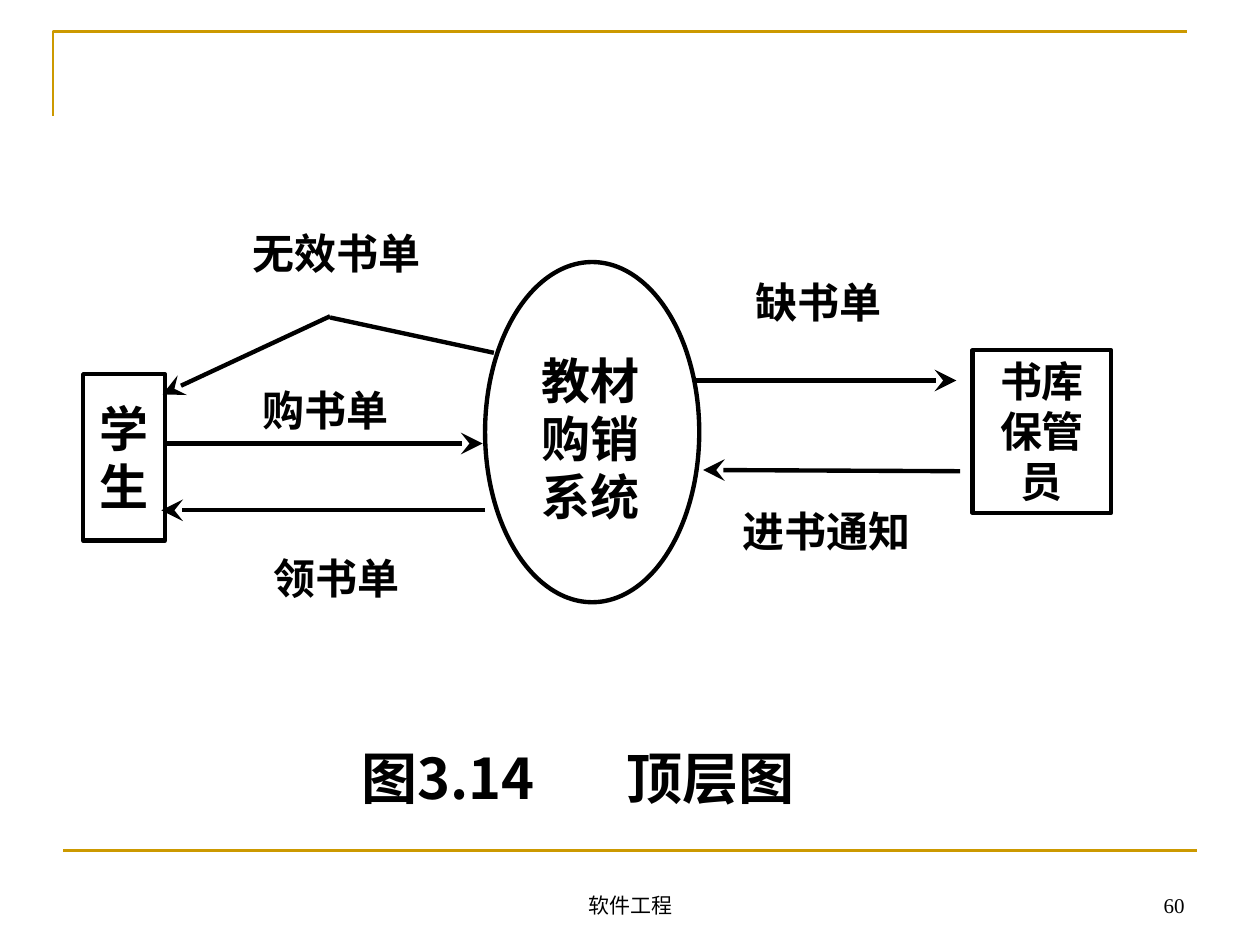
from lxml import etree
from pptx import Presentation
from pptx import util as u
from pptx.dml.color import RGBColor
from pptx.enum import shapes, text
from pptx.oxml.ns import qn

WIDTH, HEIGHT = 10, 7.5
BLACK, WHITE, GOLD = "000000", "FFFFFF", "CC9900"
CJK, LATIN, SERIF = "Noto Sans CJK SC", "Arial", "Times New Roman"
LEFT, CENTER, RIGHT = text.PP_ALIGN.LEFT, text.PP_ALIGN.CENTER, text.PP_ALIGN.RIGHT
TOP, MIDDLE, BOTTOM = text.MSO_ANCHOR.TOP, text.MSO_ANCHOR.MIDDLE, text.MSO_ANCHOR.BOTTOM
LINE_PITCH = 1.19

CORNER = [(0.42, 0.92), (0.42, 0.25), (9.42, 0.25)]
FOOTER_RULE = ((0.5, 6.75), (9.5, 6.75))
SYSTEM = (3.85, 2.08, 1.7, 2.7)
SYSTEM_NAME = ("教材购销系统", (4.21, 2.74, 1.01, 1.49))
KEEPER = ("书库保管员", (7.72, 2.78, 1.1, 1.29))
STUDENT = ("学\n生", (0.66, 2.97, 0.65, 1.32))
BOXED_LABELS = [
    ("购书单", (1.92, 3.06, 1.32, 0.39), MIDDLE, False),
    ("领书单", (1.91, 4.34, 1.53, 0.49), TOP, True),
]
LABELS = [
    ("无效书单", (1.91, 1.76, 1.53, 0.49)),
    ("缺书单", (5.82, 2.15, 1.36, 0.49)),
    ("进书通知", (5.67, 3.97, 1.78, 0.49)),
]
FLOWS = [
    ((1.32, 3.52), (3.83, 3.52), True),
    ((3.85, 4.05), (1.28, 4.05), True),
    ((3.92, 2.8), (2.62, 2.52), False),
    ((2.62, 2.51), (1.29, 3.13), True),
    ((5.5, 3.02), (7.59, 3.02), True),
    ((7.62, 3.74), (5.58, 3.73), True),
]
CAPTION = ("图3.14\t顶层图", (2.49, 5.86, 4.38, 1.15))
CAPTION_INDENT, CAPTION_TAB = 0.38, 2.1
FOOTERS = [
    ("软件工程", (3.42, 6.83, 3.17, 0.5), CENTER),
    ("60", (7.17, 6.83, 2.33, 0.5), RIGHT),
]


def color(value):
    return RGBColor.from_string(value)


def inches(values):
    return [u.Inches(value) for value in values]


def write(shape, words, size, font=CJK, align=CENTER, anchor=TOP, bold=True, wrap=True, inset=0.09):
    frame = shape.text_frame
    frame.text = words
    frame.word_wrap = wrap
    frame.vertical_anchor = anchor
    frame.margin_left = frame.margin_right = u.Inches(inset)
    frame.margin_top = frame.margin_bottom = u.Inches(inset / 2)
    for paragraph in frame.paragraphs:
        paragraph.alignment = align
        paragraph.line_spacing = u.Pt(round(size * LINE_PITCH, 1))
        for run in paragraph.runs:
            run.font.name = font
            run.font.size = u.Pt(size)
            run.font.bold = bold
            run.font.color.rgb = color(BLACK)
            properties = run.font._element
            etree.SubElement(properties, qn("a:ea")).set("typeface", CJK)


def add_text(slide, words, place, size, **style):
    box = slide.shapes.add_textbox(*inches(place))
    write(box, words, size, **style)
    return box


def outline(shape, line_color, width=2.5, fill=None):
    shape.shadow.inherit = False
    if fill:
        shape.fill.solid()
        shape.fill.fore_color.rgb = color(fill)
    else:
        shape.fill.background()
    shape.line.color.rgb = color(line_color)
    shape.line.width = u.Pt(width)


def add_outlined(slide, kind, place, line_color=BLACK, fill=None):
    shape = slide.shapes.add_shape(kind, *inches(place))
    outline(shape, line_color, fill=fill)
    return shape


def add_line(slide, start, end, line_color=BLACK, width=2.5, arrow=False):
    connector = slide.shapes.add_connector(shapes.MSO_CONNECTOR.STRAIGHT, *inches(start + end))
    connector.line.color.rgb = color(line_color)
    connector.line.width = u.Pt(width)
    if arrow:
        head = etree.SubElement(connector.line._get_or_add_ln(), qn("a:tailEnd"))
        for name, value in (("type", "stealth"), ("w", "lg"), ("len", "lg")):
            head.set(name, value)
    etree.SubElement(connector._element.spPr, qn("a:effectLst"))


def add_frame(slide):
    builder = slide.shapes.build_freeform(*inches(CORNER[0]), scale=1.0)
    builder.add_line_segments([inches(point) for point in CORNER[1:]], close=False)
    outline(builder.convert_to_shape(), GOLD, 1.5)
    add_line(slide, *FOOTER_RULE, GOLD, 1.5)


def add_caption(slide):
    words, place = CAPTION
    box = add_text(slide, words, place, 32, align=LEFT)
    box.text_frame.margin_left = u.Inches(CAPTION_INDENT)
    properties = box.text_frame.paragraphs[0]._p.get_or_add_pPr()
    tabs = etree.SubElement(properties, qn("a:tabLst"))
    tab = etree.SubElement(tabs, qn("a:tab"))
    tab.set("pos", str(u.Inches(CAPTION_TAB)))
    tab.set("algn", "l")


def main():
    presentation = Presentation()
    presentation.slide_width, presentation.slide_height = inches((WIDTH, HEIGHT))
    slide = presentation.slides.add_slide(presentation.slide_layouts[6])
    rectangle = shapes.MSO_SHAPE.RECTANGLE

    add_frame(slide)
    add_outlined(slide, shapes.MSO_SHAPE.OVAL, SYSTEM)
    add_text(slide, *SYSTEM_NAME, 28, align=LEFT)
    keeper, place = KEEPER
    write(add_outlined(slide, rectangle, place), keeper, 24)
    student, place = STUDENT
    write(add_outlined(slide, rectangle, place, fill=WHITE), student, 28,
          font=LATIN, anchor=MIDDLE, wrap=False, inset=0.1)
    for words, place, anchor, wrap in BOXED_LABELS:
        write(add_outlined(slide, rectangle, place, WHITE), words, 24, anchor=anchor, wrap=wrap)
    for start, end, arrow in FLOWS:
        add_line(slide, start, end, arrow=arrow)
    for words, place in LABELS:
        add_text(slide, words, place, 24)
    add_caption(slide)
    for words, place, align in FOOTERS:
        add_text(slide, words, place, 12, font=SERIF, align=align, anchor=BOTTOM, bold=False, inset=0.1)
    presentation.save("out.pptx")


if __name__ == "__main__":
    main()
